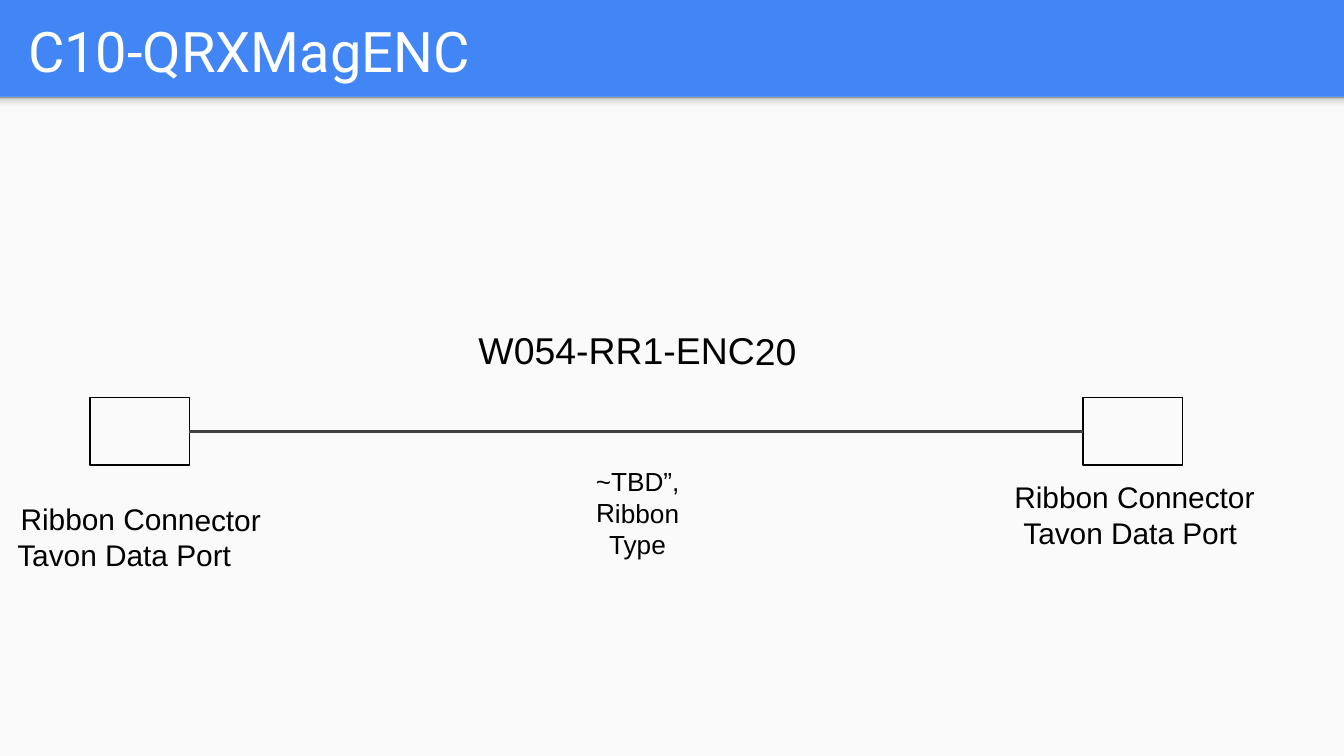
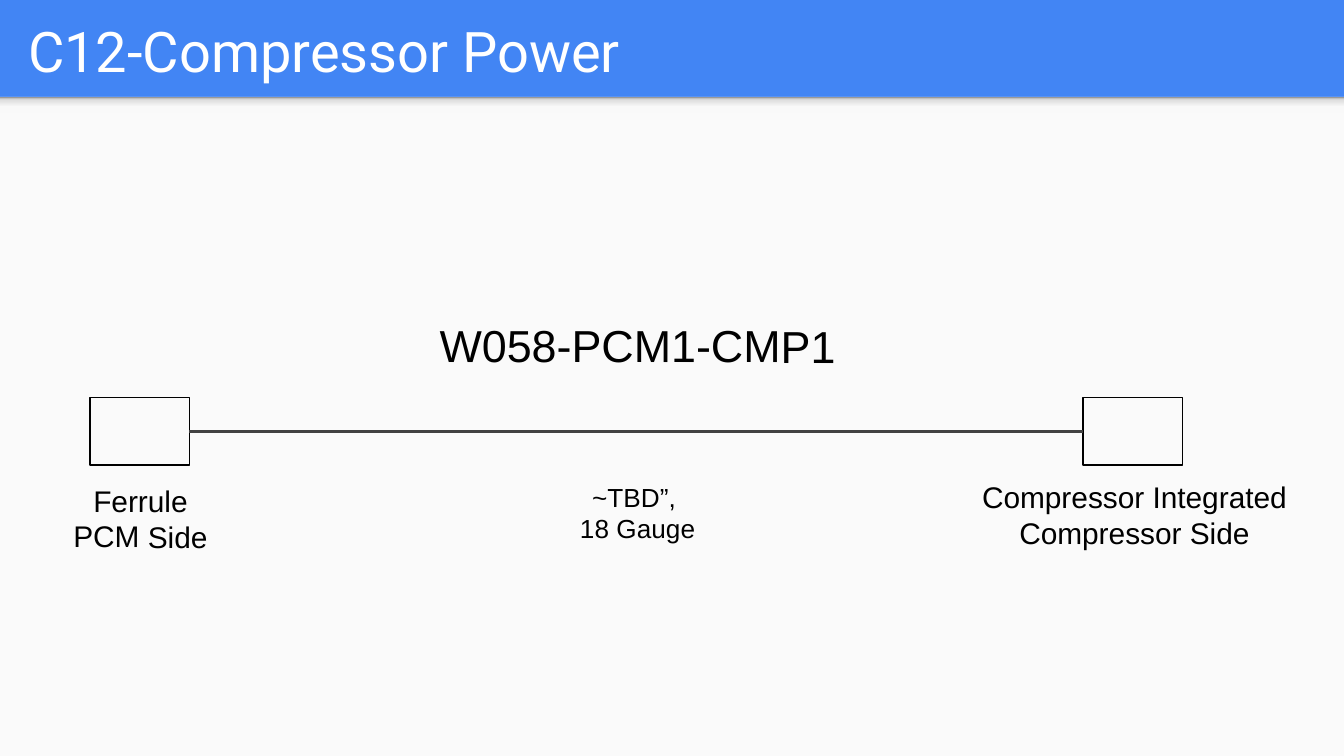
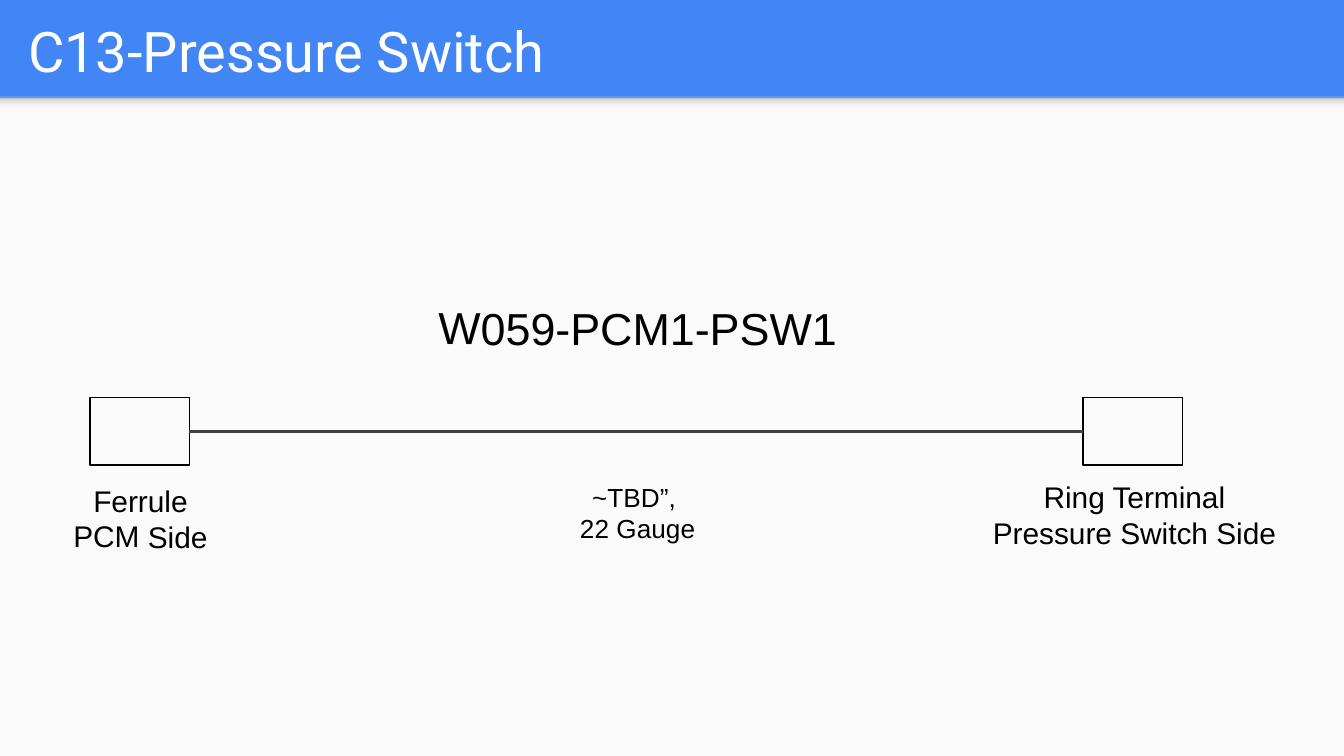
from dataclasses import dataclass, field

from lxml.etree import SubElement
from pptx import Presentation
from pptx.dml.color import RGBColor
from pptx.enum.shapes import MSO_CONNECTOR, MSO_SHAPE
from pptx.enum.text import MSO_ANCHOR, MSO_AUTO_SIZE, PP_ALIGN
from pptx.oxml.ns import qn
from pptx.util import Cm, Pt

COLORS = {
    "header": "4285F4",
    "canvas": "FAFAFA",
    "title": "FFFFFF",
    "ink": "000000",
    "cable": "424242",
}
SHADOW_STOPS = [(0, "F9F9F9"), (36, "F9F9F9"), (80, "DEDEDE"), (100, "999999")]

# Shared geometry, in centimetres
SLIDE_WIDTH, SLIDE_HEIGHT = 25.4, 14.29
HEADER_HEIGHT = 1.83
TITLE_BOX = (0.28, 0.1, 24.51, 1.68)
CONNECTOR_LEFTS = (1.7, 20.47)
CONNECTOR_TOP, CONNECTOR_WIDTH, CONNECTOR_HEIGHT = 7.52, 1.88, 1.27
INSET = 0.25
LABEL_TILT = 0.1

FRAME_FORMAT = {
    "word_wrap": True,
    "auto_size": MSO_AUTO_SIZE.NONE,
    "vertical_anchor": MSO_ANCHOR.MIDDLE,
    "margin_left": Cm(INSET),
    "margin_right": Cm(INSET),
    "margin_top": Cm(INSET),
    "margin_bottom": Cm(INSET),
}
TITLE_FONT = {"name": "Roboto", "size": Pt(30), "bold": False}


@dataclass
class Label:
    lines: list[str]
    box: tuple[float, float, float, float]
    size: int
    left_aligned: tuple[int, ...] = ()
    frame: dict = field(default_factory=dict)


@dataclass
class Cable:
    title: str
    labels: list[Label]


def source_label(*lines: str) -> Label:
    return Label(list(lines), (0.13, 8.79, 5.05, 2.01), 16)


def target_label(*lines: str) -> Label:
    return Label(list(lines), (17.63, 9.19, 7.62, 1.07), 16)


def wire_label(*lines: str) -> Label:
    return Label(list(lines), (10.46, 8.79, 3.18, 1.8), 14)


def name_label(name: str, top: float = 5.21, size: int = 24, **frame) -> Label:
    return Label([name], (5.38, top, 13.34, 1.96), size, frame=frame)


CABLES = [
    Cable("C10-QRXMagENC", [
        Label(["Ribbon Connector", "Tavon Data Port"], (0.08, 9.47, 5.16, 2.01), 16,
              left_aligned=(1,), frame={"margin_bottom": Cm(0.9)}),
        target_label("Ribbon Connector", "Tavon Data Port "),
        wire_label("~TBD”, Ribbon Type"),
        name_label("W054-RR1-ENC20", size=20, margin_top=Cm(1.1)),
    ]),
    Cable("C12-Compressor Power", [
        source_label("Ferrule", "PCM Side"),
        target_label("Compressor Integrated", "Compressor Side"),
        wire_label("~TBD”, ", "18 Gauge"),
        name_label("W058-PCM1-CMP1", top=5.54),
    ]),
    Cable("C13-Pressure Switch", [
        source_label("Ferrule", "PCM Side"),
        target_label("Ring Terminal", "Pressure Switch Side"),
        wire_label("~TBD”, ", "22 Gauge"),
        name_label("W059-PCM1-PSW1"),
    ]),
]


def color(name: str) -> RGBColor:
    return RGBColor.from_string(COLORS[name])


def apply_format(target, values: dict) -> None:
    for attribute, value in values.items():
        setattr(target, attribute, value)


def place(shape, box: tuple[float, float, float, float]) -> None:
    lengths = map(Cm, box)
    apply_format(shape, dict(zip(("left", "top", "width", "height"), lengths)))


def add_rectangle(slide, left: float, top: float, width: float, height: float):
    shape = slide.shapes.add_shape(
        MSO_SHAPE.RECTANGLE, Cm(left), Cm(top), Cm(width), Cm(height))
    shape.shadow.inherit = False
    shape.fill.background()
    shape.line.fill.background()
    return shape


def format_layout(layout) -> None:
    """Set the header colour and the title box every slide inherits."""
    layout.background.fill.solid()
    layout.background.fill.fore_color.rgb = color("header")
    title = next(shape for shape in layout.placeholders
                 if shape.placeholder_format.idx == 0)
    place(title, TITLE_BOX)
    apply_format(title.text_frame, FRAME_FORMAT)


def add_bands(slide) -> None:
    """Draw the canvas and header shadow, then move them into the layout."""
    canvas = add_rectangle(
        slide, 0, HEADER_HEIGHT, SLIDE_WIDTH, SLIDE_HEIGHT - HEADER_HEIGHT)
    canvas.fill.solid()
    canvas.fill.fore_color.rgb = color("canvas")

    shadow = add_rectangle(slide, 0, HEADER_HEIGHT, SLIDE_WIDTH, 0.3)
    shadow.fill.gradient()
    shadow.fill.gradient_angle = 90
    stops = shadow.element.spPr.find(qn("a:gradFill")).find(qn("a:gsLst"))
    for stop in list(stops):
        stops.remove(stop)
    for position, value in SHADOW_STOPS:
        stop = SubElement(stops, qn("a:gs"), pos=str(position * 1000))
        SubElement(stop, qn("a:srgbClr"), val=value)

    layout_tree = slide.slide_layout.shapes.element
    for index, band in enumerate((canvas, shadow)):
        band.element.nvSpPr.cNvPr.set("id", str(100 + index))
        layout_tree.insert(2 + index, band.element)


def add_title(slide, text: str) -> None:
    frame = slide.shapes.title.text_frame
    frame.text = text
    apply_format(frame, FRAME_FORMAT)
    paragraph = frame.paragraphs[0]
    paragraph.alignment = PP_ALIGN.LEFT
    font = paragraph.runs[0].font
    apply_format(font, TITLE_FONT)
    font.color.rgb = color("title")


def add_cable(slide) -> None:
    """Draw both connectors and the wire that joins them."""
    ends = []
    for left in CONNECTOR_LEFTS:
        end = add_rectangle(
            slide, left, CONNECTOR_TOP, CONNECTOR_WIDTH, CONNECTOR_HEIGHT)
        end.line.color.rgb = color("ink")
        end.line.width = Pt(0.75)
        ends.append(end)
    wire = slide.shapes.add_connector(MSO_CONNECTOR.STRAIGHT, 0, 0, 0, 0)
    wire.begin_connect(ends[0], 3)
    wire.end_connect(ends[1], 1)
    wire.line.color.rgb = color("cable")
    wire.line.width = Pt(1.5)
    SubElement(wire.element.spPr, qn("a:effectLst"))


def add_label(slide, label: Label) -> None:
    text_box = slide.shapes.add_textbox(*map(Cm, label.box))
    text_box.rotation = LABEL_TILT
    frame = text_box.text_frame
    apply_format(frame, FRAME_FORMAT | label.frame)
    frame.text = "\n".join(label.lines)
    for index, paragraph in enumerate(frame.paragraphs):
        paragraph.alignment = (
            PP_ALIGN.LEFT if index in label.left_aligned else PP_ALIGN.CENTER)
        font = paragraph.runs[0].font
        apply_format(font, {"name": "Arial", "size": Pt(label.size)})
        font.color.rgb = color("ink")


def main() -> None:
    presentation = Presentation()
    presentation.slide_width = Cm(SLIDE_WIDTH)
    presentation.slide_height = Cm(SLIDE_HEIGHT)
    layout = presentation.slide_layouts[5]
    format_layout(layout)

    for index, cable in enumerate(CABLES):
        slide = presentation.slides.add_slide(layout)
        if index == 0:
            add_bands(slide)
        add_title(slide, cable.title)
        add_cable(slide)
        for label in cable.labels:
            add_label(slide, label)

    presentation.save("out.pptx")


if __name__ == "__main__":
    main()
